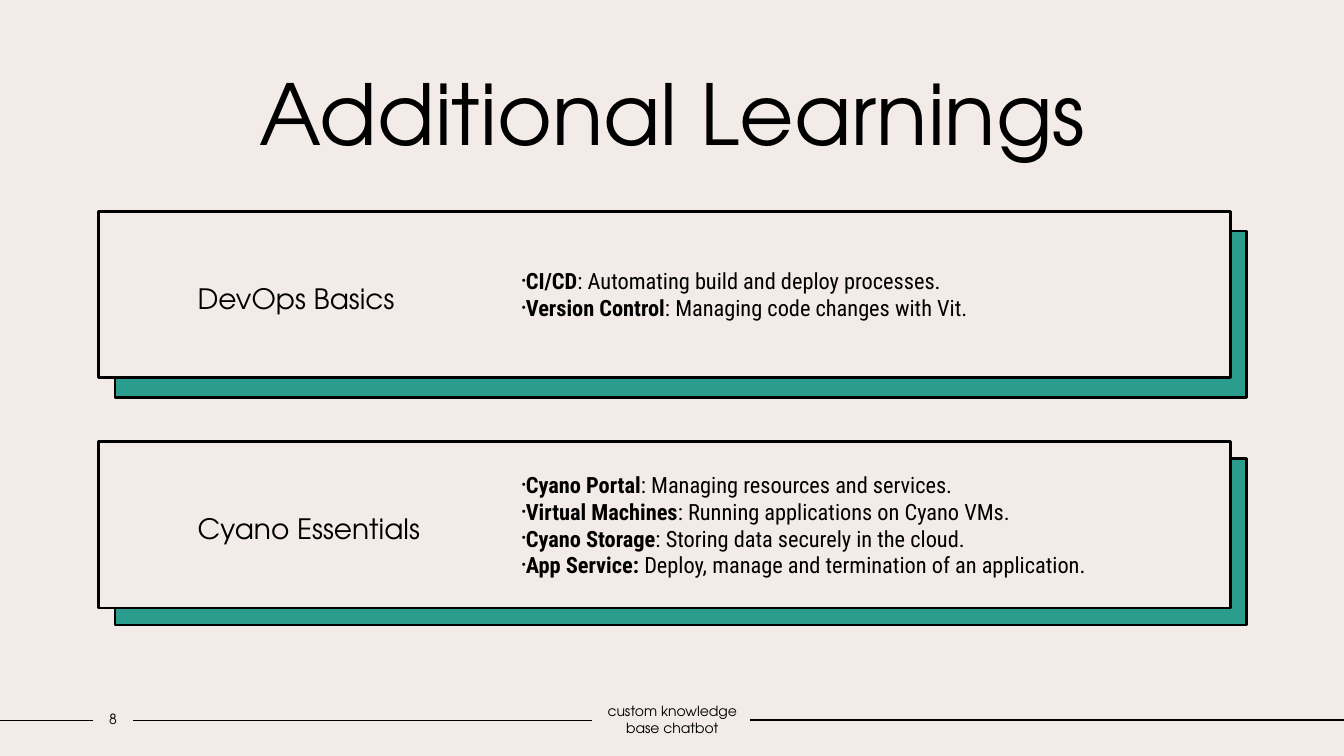
from lxml.etree import SubElement
from pptx import Presentation
from pptx.dml.color import RGBColor
from pptx.enum.shapes import MSO_CONNECTOR, MSO_SHAPE
from pptx.enum.text import MSO_ANCHOR, MSO_AUTO_SIZE, PP_ALIGN
from pptx.oxml.ns import qn
from pptx.util import Cm, Pt

BLACK = RGBColor(0x00, 0x00, 0x00)
CREAM = RGBColor(0xF3, 0xEB, 0xE8)
TEAL = RGBColor(0x2A, 0x9D, 0x8F)
DISPLAY = "TeX Gyre Adventor"
BODY = "Roboto Condensed"
CARD_LEFT, CARD_W, CARD_H = 2.49, 28.52, 4.19

# Each card: top, top of its backing, heading, bullets (term, explanation)
CARDS = [
    (5.33, 5.82, "DevOps Basics", [
        ("CI/CD", ": Automating build and deploy processes."),
        ("Version Control", ": Managing code changes with Vit."),
    ]),
    (11.13, 11.56, "Cyano Essentials", [
        ("Cyano Portal", ": Managing resources and services."),
        ("Virtual Machines", ": Running applications on Cyano VMs."),
        ("Cyano Storage", ": Storing data securely in the cloud."),
        ("App Service: ", "Deploy, manage and termination of an application."),
    ]),
]


def place(sp, left, top, width, height):
    sp.left, sp.top, sp.width, sp.height = Cm(left), Cm(top), Cm(width), Cm(height)
    tf = sp.text_frame
    tf.word_wrap = True
    tf.auto_size = MSO_AUTO_SIZE.NONE
    tf.vertical_anchor = MSO_ANCHOR.MIDDLE
    return tf


def style(r, size, name, bold=False):
    r.font.size, r.font.name, r.font.bold = Pt(size), name, bold
    r.font.color.rgb = BLACK


prs = Presentation()
prs.slide_width, prs.slide_height = Cm(33.87), Cm(19.05)
slide = prs.slides.add_slide(prs.slide_layouts[4])
slide.background.fill.solid()
slide.background.fill.fore_color.rgb = CREAM
holders = slide.placeholders

# Title
tf = place(slide.shapes.title, 3.18, 1.42, 27.53, 2.82)
tf.text = "Additional Learnings"
tf.paragraphs[0].alignment = PP_ALIGN.CENTER
style(tf.paragraphs[0].runs[0], 60, DISPLAY)

for i, (top, backing_top, heading, bullets) in enumerate(CARDS):
    # Teal backing, sent behind the placeholders
    sp = slide.shapes.add_shape(MSO_SHAPE.RECTANGLE, Cm(2.9), Cm(backing_top),
                                Cm(CARD_W), Cm(CARD_H))
    sp.shadow.inherit = False
    sp.fill.solid()
    sp.fill.fore_color.rgb = TEAL
    sp.line.color.rgb = BLACK
    sp.line.width = Pt(2)
    slide.shapes._spTree.insert(2, sp._element)

    # Card with heading
    card = holders[2 * i + 1]
    tf = place(card, CARD_LEFT, top, CARD_W, CARD_H)
    card.fill.solid()
    card.fill.fore_color.rgb = CREAM
    card.line.color.rgb = BLACK
    card.line.width = Pt(2)
    tf.margin_left, tf.margin_right = Cm(2.49), Cm(18.03)
    tf.text = heading
    p = tf.paragraphs[0]
    p.line_spacing, p.space_before = 1.2, Pt(0)
    style(p.runs[0], 20, DISPLAY)

    # Bullet list
    tf = place(holders[2 * i + 2], 12.9, top + 0.25, 17.81, 3.68)
    for j, (term, explanation) in enumerate(bullets):
        p = tf.add_paragraph() if j else tf.paragraphs[0]
        p.space_before = Pt(0)
        for text, bold in ((term, True), (explanation, False)):
            r = p.add_run()
            r.text = text
            style(r, 16, BODY, bold)
        pPr = p._p.get_or_add_pPr()
        pPr.set("marL", "0")
        pPr.set("indent", str(-Cm(0.38)))
        SubElement(pPr, qn("a:buSzPct"), val="50000")
        SubElement(pPr, qn("a:buFont"), typeface="Arial")
        SubElement(pPr, qn("a:buChar"), char="•")

# Footer rules
for x1, x2, y in ((0, 2.34, 18.16), (3.35, 14.91, 18.16), (18.9, 33.87, 18.14)):
    rule = slide.shapes.add_connector(MSO_CONNECTOR.STRAIGHT, Cm(x1), Cm(y), Cm(x2), Cm(y))
    rule.line.color.rgb = BLACK
    rule.line.width = Pt(1)
    SubElement(rule._element.spPr, qn("a:effectLst"))

# Page number and footer text
for text, left, width in (("8", 2.34, 1.02), ("custom knowledge base chatbot", 14.91, 4.06)):
    sp = slide.shapes.add_textbox(0, 0, 0, 0)
    tf = place(sp, left, 17.78, width, 0.69)
    tf.margin_left = tf.margin_right = 0
    tf.text = text
    tf.paragraphs[0].alignment = PP_ALIGN.CENTER
    style(tf.paragraphs[0].runs[0], 10, DISPLAY)

prs.save("out.pptx")
